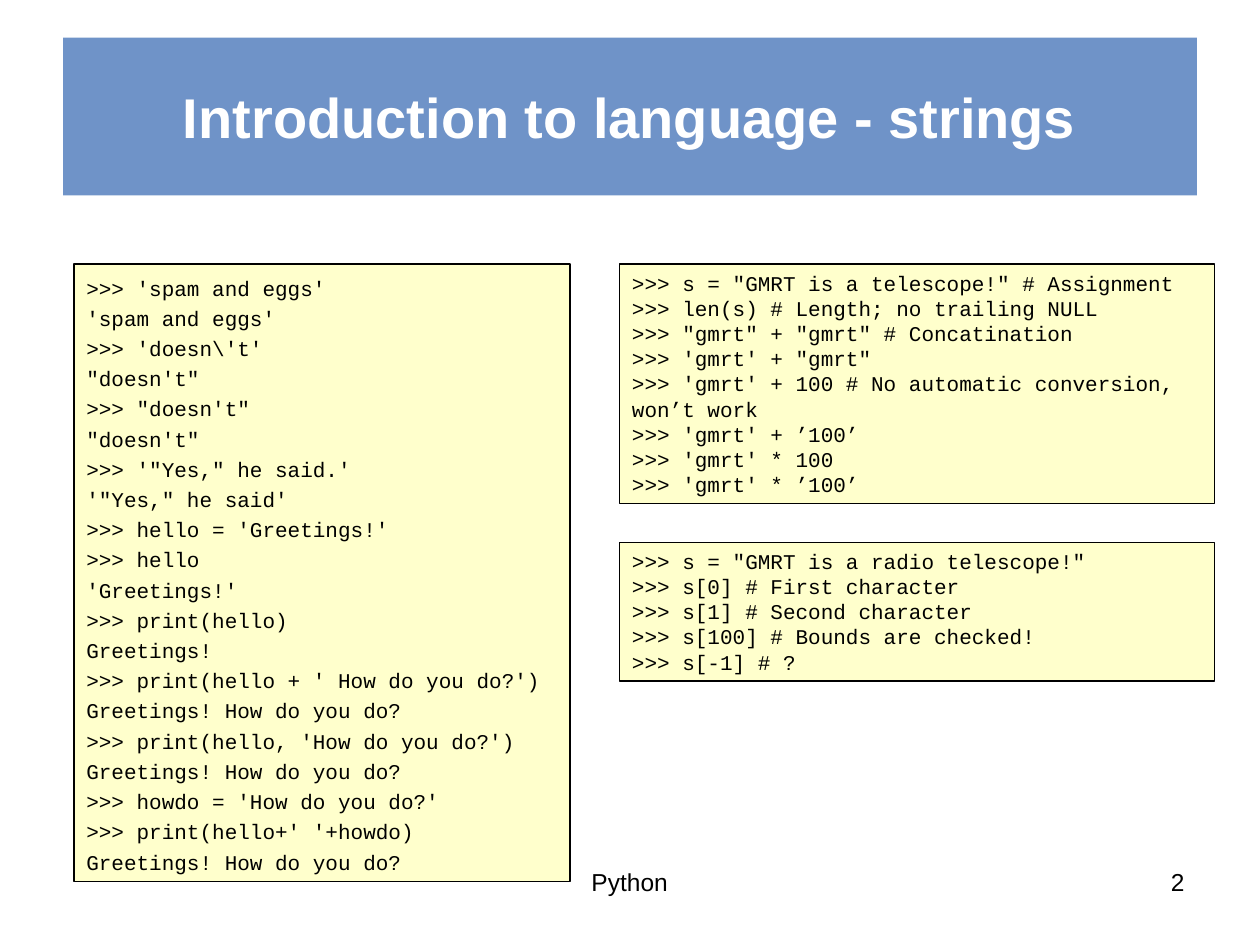
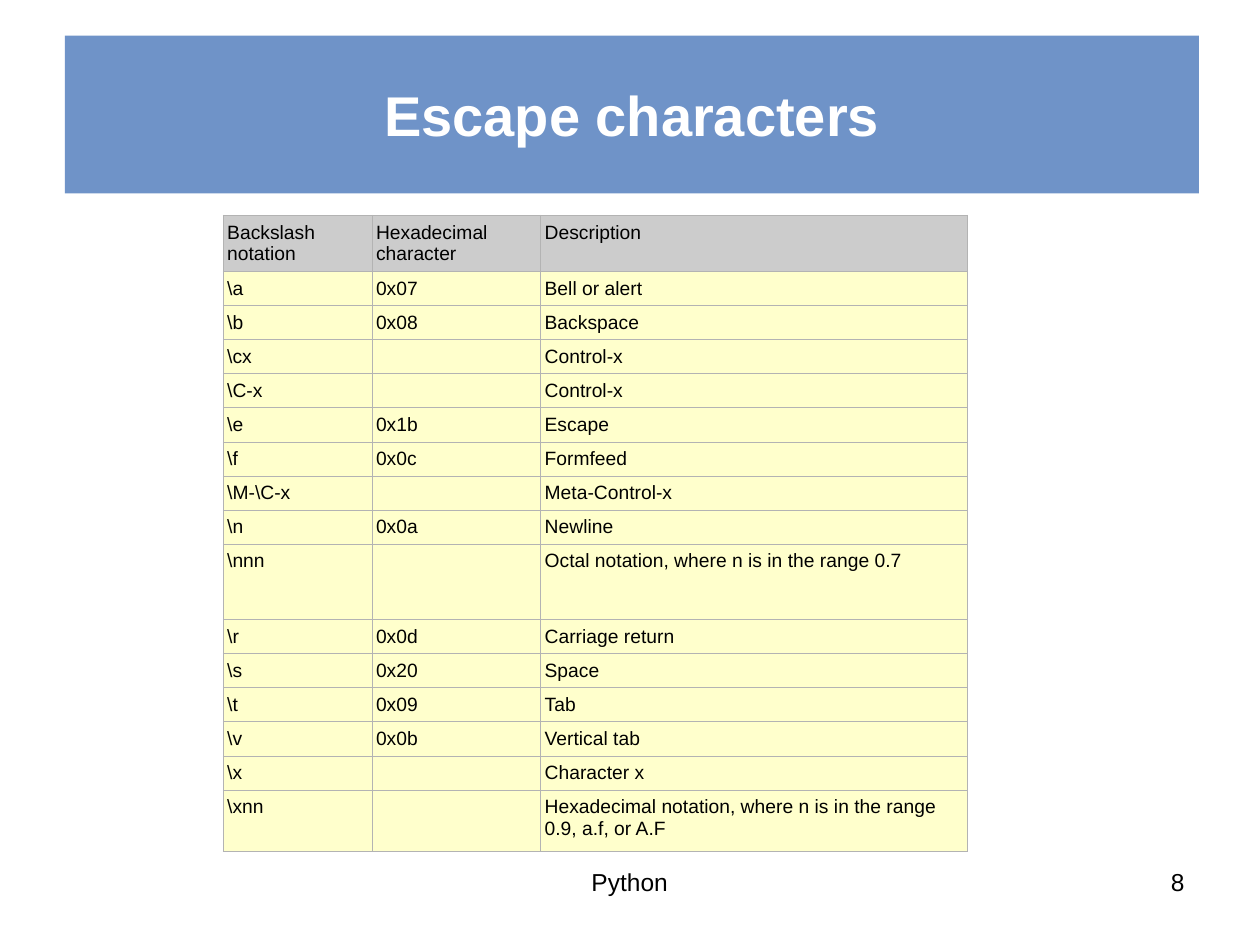
import pptx
import pptx.dml.color
import pptx.enum.shapes
import pptx.enum.text
import pptx.oxml
import pptx.oxml.ns
import pptx.util
from lxml import etree

Cm = pptx.util.Cm
Pt = pptx.util.Pt
RGB = pptx.dml.color.RGBColor
ALIGN = pptx.enum.text.PP_ALIGN
ANCHOR = pptx.enum.text.MSO_ANCHOR
qn = pptx.oxml.ns.qn

BLUE = RGB(0x47, 0x75, 0xB9)
CREAM = RGB(0xFF, 0xFF, 0xCC)
GREY = RGB(0xCC, 0xCC, 0xCC)
RULE = RGB(0xB3, 0xB3, 0xB3)
BLACK = RGB(0, 0, 0)
WHITE = RGB(0xFF, 0xFF, 0xFF)
SANS = "Arial"
MONO = "Courier New"

BASICS = r"""
>>> 'spam and eggs'
'spam and eggs'
>>> 'doesn\'t'
"doesn't"
>>> "doesn't"
"doesn't"
>>> '"Yes," he said.'
'"Yes," he said'
>>> hello = 'Greetings!'
>>> hello
'Greetings!'
>>> print(hello)
Greetings!
>>> print(hello + ' How do you do?')
Greetings! How do you do?
>>> print(hello, 'How do you do?')
Greetings! How do you do?
>>> howdo = 'How do you do?'
>>> print(hello+' '+howdo)
Greetings! How do you do?
"""

JOINING = """
>>> s = "GMRT is a telescope!" # Assignment
>>> len(s) # Length; no trailing NULL
>>> "gmrt" + "gmrt" # Concatination
>>> 'gmrt' + "gmrt"
>>> 'gmrt' + 100 # No automatic conversion, won’t work
>>> 'gmrt' + ’100’
>>> 'gmrt' * 100
>>> 'gmrt' * ’100’
"""

INDEXING = """
>>> s = "GMRT is a radio telescope!"
>>> s[0] # First character
>>> s[1] # Second character
>>> s[100] # Bounds are checked!
>>> s[-1] # ?
"""

ESCAPES = [
    ("Backslash\nnotation", "Hexadecimal\ncharacter", "Description"),
    (r"\a", "0x07", "Bell or alert"),
    (r"\b", "0x08", "Backspace"),
    (r"\cx", "", "Control-x"),
    (r"\C-x", "", "Control-x"),
    (r"\e", "0x1b", "Escape"),
    (r"\f", "0x0c", "Formfeed"),
    (r"\M-\C-x", "", "Meta-Control-x"),
    (r"\n", "0x0a", "Newline"),
    (r"\nnn", "", "Octal notation, where n is in the range 0.7"),
    (r"\r", "0x0d", "Carriage return"),
    (r"\s", "0x20", "Space"),
    (r"\t", "0x09", "Tab"),
    (r"\v", "0x0b", "Vertical tab"),
    (r"\x", "", "Character x"),
    (r"\xnn", "", "Hexadecimal notation, where n is in the range 0.9, a.f, or A.F"),
]
WIDTHS = (3, 3.4, 8.6)
ROW = 0.64
TALL = {0: 1.09, 9: 1.52, 15: 1.24}


def style(para, size, name=SANS, color=BLACK, bold=False, align=ALIGN.LEFT):
    para.alignment = align
    font = para.font
    font.size, font.name, font.bold = Pt(size), name, bold
    font.color.rgb = color


def place(shape, box):
    shape.left, shape.top, shape.width, shape.height = map(Cm, box)


def add_slide(deck, title, number, left, top):
    """Add a slide with its title band and footer."""
    slide = deck.slides.add_slide(deck.slide_layouts[5])
    band = slide.shapes.title
    place(band, (left, top, 22.86, 3.18))
    band.fill.solid()
    band.fill.fore_color.rgb = BLUE
    tint = band.fill._xPr.find(".//" + qn("a:srgbClr"))
    etree.SubElement(tint, qn("a:alpha")).set("val", "78000")
    band.text_frame.vertical_anchor = ANCHOR.MIDDLE
    para = band.text_frame.paragraphs[0]
    para.text = title
    style(para, 32, color=WHITE, bold=True, align=ALIGN.CENTER)
    add_note(slide, (18.21, 17.35, 5.92, 1.32), str(number), ALIGN.RIGHT)
    add_note(slide, (8.67, 17.35, 8.05, 1.32), "Python", ALIGN.CENTER)
    return slide


def add_note(slide, box, text, align):
    frame = slide.shapes.add_textbox(*map(Cm, box)).text_frame
    frame.word_wrap = True
    para = frame.paragraphs[0]
    para.text = text
    style(para, 14, align=align)


def add_code(slide, box, code, space=1.0):
    kind = pptx.enum.shapes.MSO_SHAPE.RECTANGLE
    panel = slide.shapes.add_shape(kind, *map(Cm, box))
    panel.shadow.inherit = False
    panel.fill.solid()
    panel.fill.fore_color.rgb = CREAM
    panel.line.color.rgb = BLACK
    panel.line.width = Pt(0.75)
    frame = panel.text_frame
    frame.word_wrap = True
    frame.auto_size = pptx.enum.text.MSO_AUTO_SIZE.SHAPE_TO_FIT_TEXT
    frame.vertical_anchor = ANCHOR.TOP
    frame.text = code.strip()
    for para in frame.paragraphs:
        para.line_spacing = space
        style(para, 12, MONO)


def add_rules(cell):
    """Draw the four borders of a cell."""
    props = cell._tc.get_or_add_tcPr()
    for side in "LRTB":
        line = etree.SubElement(props, qn("a:ln" + side), w=str(Pt(0.45)))
        fill = etree.SubElement(line, qn("a:solidFill"))
        etree.SubElement(fill, qn("a:srgbClr"), val=str(RULE))


def fill_cell(cell, text, color, foot):
    add_rules(cell)
    cell.fill.solid()
    cell.fill.fore_color.rgb = color
    cell.margin_left = cell.margin_right = Cm(0.08)
    cell.margin_top, cell.margin_bottom = Cm(0.13), Cm(foot)
    para = cell.text_frame.paragraphs[0]
    para.text = text
    style(para, 11)
    if not text:
        etree.SubElement(para._p, qn("a:endParaRPr"), sz="1100")


def add_grid(slide, left, top):
    tall = [TALL.get(i, ROW) for i in range(len(ESCAPES))]
    box = (left, top, sum(WIDTHS), sum(tall))
    grid = slide.shapes.add_table(len(tall), len(WIDTHS), *map(Cm, box)).table
    grid.first_row = grid.horz_banding = False
    for col, width in zip(grid.columns, WIDTHS):
        col.width = Cm(width)
    for i, texts in enumerate(ESCAPES):
        grid.rows[i].height = Cm(tall[i])
        color, foot = (CREAM, 0.09) if i else (GREY, 0.07)
        for j, text in enumerate(texts):
            fill_cell(grid.cell(i, j), text, color, foot)


def main():
    deck = pptx.Presentation()
    deck.slide_width, deck.slide_height = Cm(25.4), Cm(19.05)

    slide = add_slide(deck, "Introduction to language - strings", 2, 1.27, 0.76)
    add_code(slide, (1.49, 5.32, 10, 12.45), BASICS, 1.2)
    add_code(slide, (12.49, 5.32, 12, 4.83), JOINING)
    add_code(slide, (12.49, 10.93, 12, 2.8), INDEXING)

    slide = add_slide(deck, "Escape characters", 8, 1.31, 0.72)
    add_grid(slide, 4.5, 4.34)

    deck.save("out.pptx")


if __name__ == "__main__":
    main()
